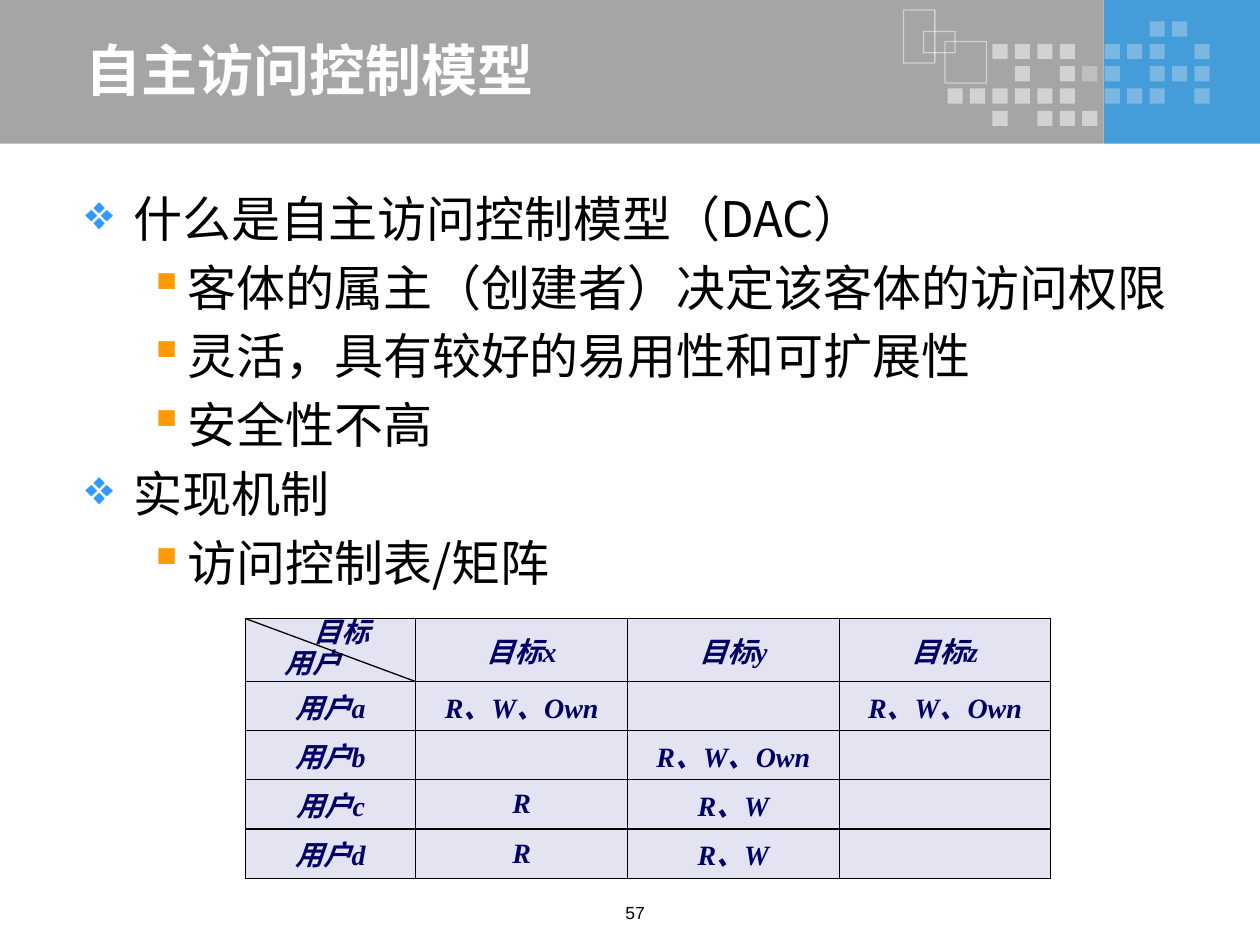
"""Build the slide on the discretionary access control model."""
from pptx import Presentation
from pptx.dml.color import RGBColor
from pptx.enum.shapes import MSO_CONNECTOR as Link, MSO_SHAPE as Shape
from pptx.enum.text import MSO_ANCHOR as Anchor, PP_ALIGN as Align
from pptx.oxml.ns import qn
from pptx.oxml.xmlchemy import OxmlElement as Node
from pptx.util import Inches, Pt

BLUE = RGBColor(0x44, 0x9C, 0xD8)
GRAY = RGBColor(0xA5, 0xA5, 0xA5)
WHITE = RGBColor(0xFF, 0xFF, 0xFF)
BLACK = RGBColor(0, 0, 0)
NAVY = RGBColor(0, 0, 0x66)
LILAC = RGBColor(0xE3, 0xE3, 0xF1)
SKY = RGBColor(0x33, 0x99, 0xFF)
AMBER = RGBColor(0xFF, 0x99, 0x00)

SANS = "Noto Sans CJK SC"
SERIF = "Times New Roman"

DOTS = [
    ".........##.",
    "..####.###.#",
    "...#.###.###",
    "######.###.#",
    "..#.###.....",
]
FRAMES = [
    (7.17, 0.08, 0.25, 0.42),
    (7.33, 0.25, 0.25, 0.17),
    (7.5, 0.33, 0.33, 0.33),
]
POINTS = [
    (0, "什么是自主访问控制模型（DAC）"),
    (1, "客体的属主（创建者）决定该客体的访问权限"),
    (1, "灵活，具有较好的易用性和可扩展性"),
    (1, "安全性不高"),
    (0, "实现机制"),
    (1, "访问控制表/矩阵"),
]
BULLETS = [("❖", SKY, 0.38, -0.38), ("▪", AMBER, 0.81, -0.31)]
RIGHTS = [
    ["目标\n用户", "目标x", "目标y", "目标z"],
    ["用户a", "R、W、Own", "", "R、W、Own"],
    ["用户b", "", "R、W、Own", ""],
    ["用户c", "R", "R、W", ""],
    ["用户d", "R", "R、W", ""],
]
WIDTHS = [1.35, 1.68, 1.68, 1.68]
HEIGHTS = [0.5] + [0.39] * 4
LEFT, TOP = 1.95, 4.91


def add_node(parent, tag, **attrs):
    node = Node(tag)
    for key, value in attrs.items():
        node.set(key, str(value))
    parent.append(node)
    return node


def add_rect(slide, box, fill=None, line=None, alpha=100):
    rect = slide.shapes.add_shape(Shape.RECTANGLE, *map(Inches, box))
    rect.shadow.inherit = False
    if fill is None:
        rect.fill.background()
    else:
        rect.fill.solid()
        rect.fill.fore_color.rgb = fill
    if line is None:
        rect.line.fill.background()
    else:
        rect.line.color.rgb = line
        rect.line.width = Pt(0.75)
    if alpha < 100:
        color = rect._element.spPr.find(".//" + qn("a:srgbClr"))
        add_node(color, "a:alpha", val=alpha * 1000)


def style(frame, name, size, color, bold=False, italic=False):
    for para in frame.paragraphs:
        for run in para.runs:
            font = run.font
            font.name, font.size = name, Pt(size)
            font.bold, font.italic = bold, italic
            font.color.rgb = color
            if name == SANS:
                add_node(run._r.get_or_add_rPr(), "a:ea", typeface=SANS)


def add_text(slide, box, text, name, size, color, bold=False):
    frame = slide.shapes.add_textbox(*map(Inches, box)).text_frame
    frame.word_wrap = True
    frame.text = text
    style(frame, name, size, color, bold)
    return frame


def add_header(slide):
    add_rect(slide, (8.76, 0, 1.24, 1.14), BLUE)
    add_rect(slide, (0, 0, 8.76, 1.14), GRAY)
    for row, line in enumerate(DOTS):
        for col, mark in enumerate(line):
            if mark == "#":
                box = (7.52 + col * 1.96 / 11, 0.17 + row * 0.71 / 4, 0.12, 0.12)
                bright = col < 6 or row == 4
                add_rect(slide, box, WHITE, alpha=50 if bright else 29)
    for box in FRAMES:
        add_rect(slide, box, line=WHITE, alpha=50)
    title = add_text(slide, (0.58, 0.28, 7.76, 0.53), "自主访问控制模型",
                     SANS, 32, WHITE, True)
    title.vertical_anchor = Anchor.MIDDLE


def add_points(slide):
    text = "\n".join(item for _, item in POINTS)
    frame = add_text(slide, (0.58, 1.44, 8.96, 5.56), text, SANS, 28, BLACK)
    for index, (para, (level, _)) in enumerate(zip(frame.paragraphs, POINTS)):
        char, color, left, hang = BULLETS[level]
        props = para._p.get_or_add_pPr()
        props.set("marL", str(Inches(left)))
        props.set("indent", str(Inches(hang)))
        add_node(add_node(props, "a:buClr"), "a:srgbClr", val=color)
        add_node(props, "a:buChar", char=char)
        para.level = level
        para.line_spacing = Pt(34)
        if index:
            para.space_before = Pt(5.3)


def add_borders(cell):
    props = cell._tc.get_or_add_tcPr()
    for index, side in enumerate(("a:lnL", "a:lnR", "a:lnT", "a:lnB")):
        edge = Node(side)
        edge.set("w", str(Pt(0.75)))
        add_node(add_node(edge, "a:solidFill"), "a:srgbClr", val=BLACK)
        props.insert(index, edge)


def fill_cell(cell, text):
    cell.fill.solid()
    cell.fill.fore_color.rgb = LILAC
    cell.margin_left = cell.margin_right = 0
    cell.margin_top = cell.margin_bottom = 0
    cell.vertical_anchor = Anchor.MIDDLE
    add_borders(cell)
    frame = cell.text_frame
    frame.text = text
    style(frame, SERIF, 16, NAVY, True, True)
    for para in frame.paragraphs:
        para.alignment = Align.CENTER


def add_matrix(slide):
    box = (LEFT, TOP, sum(WIDTHS), sum(HEIGHTS))
    table = slide.shapes.add_table(len(HEIGHTS), len(WIDTHS),
                                   *map(Inches, box)).table
    table.first_row = table.horz_banding = False
    for col, width in zip(table.columns, WIDTHS):
        col.width = Inches(width)
    for row, height, texts in zip(table.rows, HEIGHTS, RIGHTS):
        row.height = Inches(height)
        for cell, text in zip(row.cells, texts):
            fill_cell(cell, text)
    for para, left in zip(table.cell(0, 0).text_frame.paragraphs, (0.54, 0.31)):
        para.alignment = Align.LEFT
        para.line_spacing = Pt(18)
        para._p.get_or_add_pPr().set("marL", str(Inches(left)))


def add_slash(slide):
    ends = (LEFT, TOP, LEFT + WIDTHS[0], TOP + HEIGHTS[0])
    slash = slide.shapes.add_connector(Link.STRAIGHT, *map(Inches, ends))
    slash.line.color.rgb = BLACK
    slash.line.width = Pt(0.75)
    add_node(slash._element.spPr, "a:effectLst")


def main():
    deck = Presentation()
    deck.slide_width, deck.slide_height = Inches(10), Inches(7.5)
    slide = deck.slides.add_slide(deck.slide_layouts[6])
    add_header(slide)
    add_points(slide)
    page = add_text(slide, (4.58, 7.11, 0.92, 0.29), "57", "Arial", 10, BLACK)
    page.paragraphs[0].alignment = Align.CENTER
    add_matrix(slide)
    add_slash(slide)
    deck.save("out.pptx")


if __name__ == "__main__":
    main()
